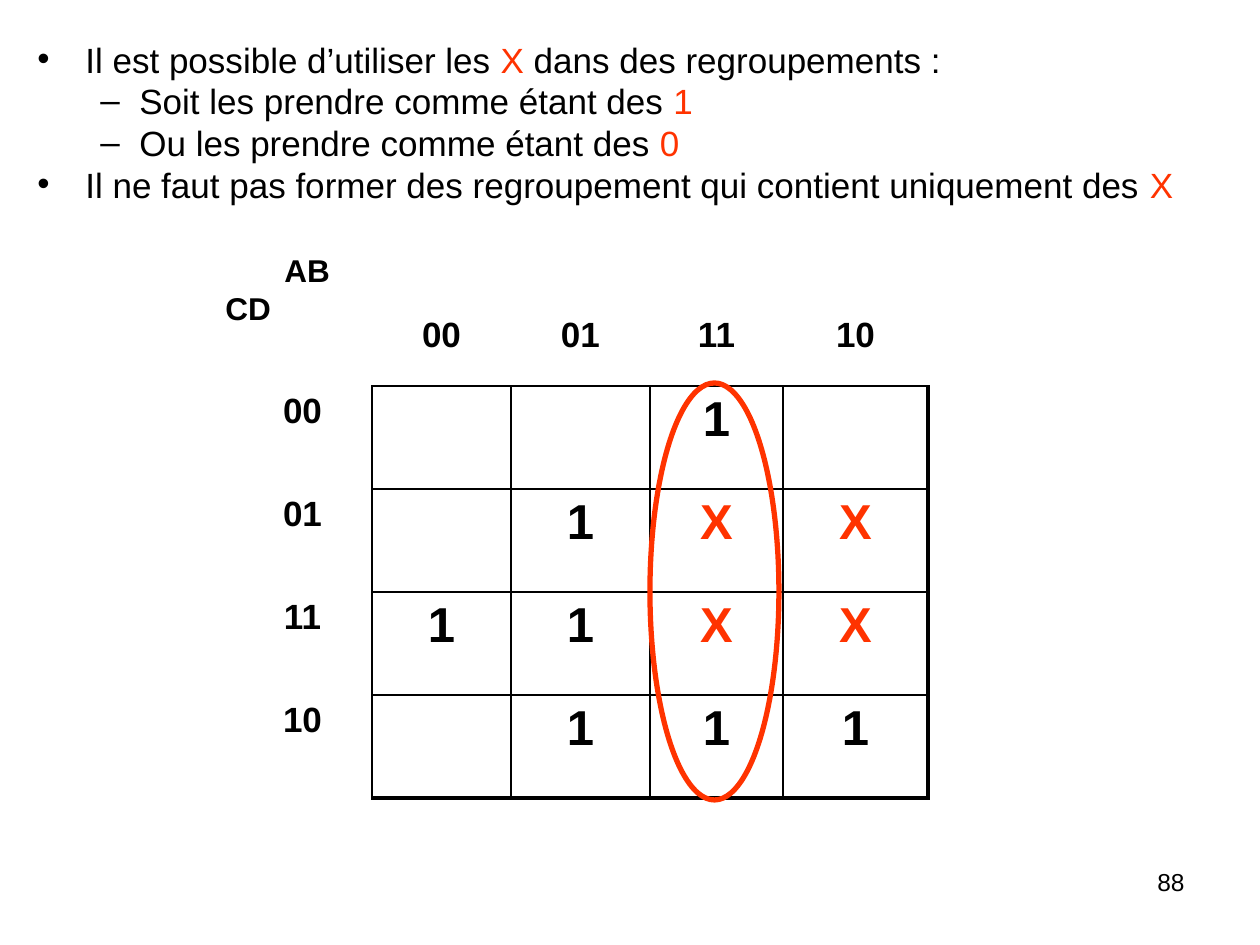
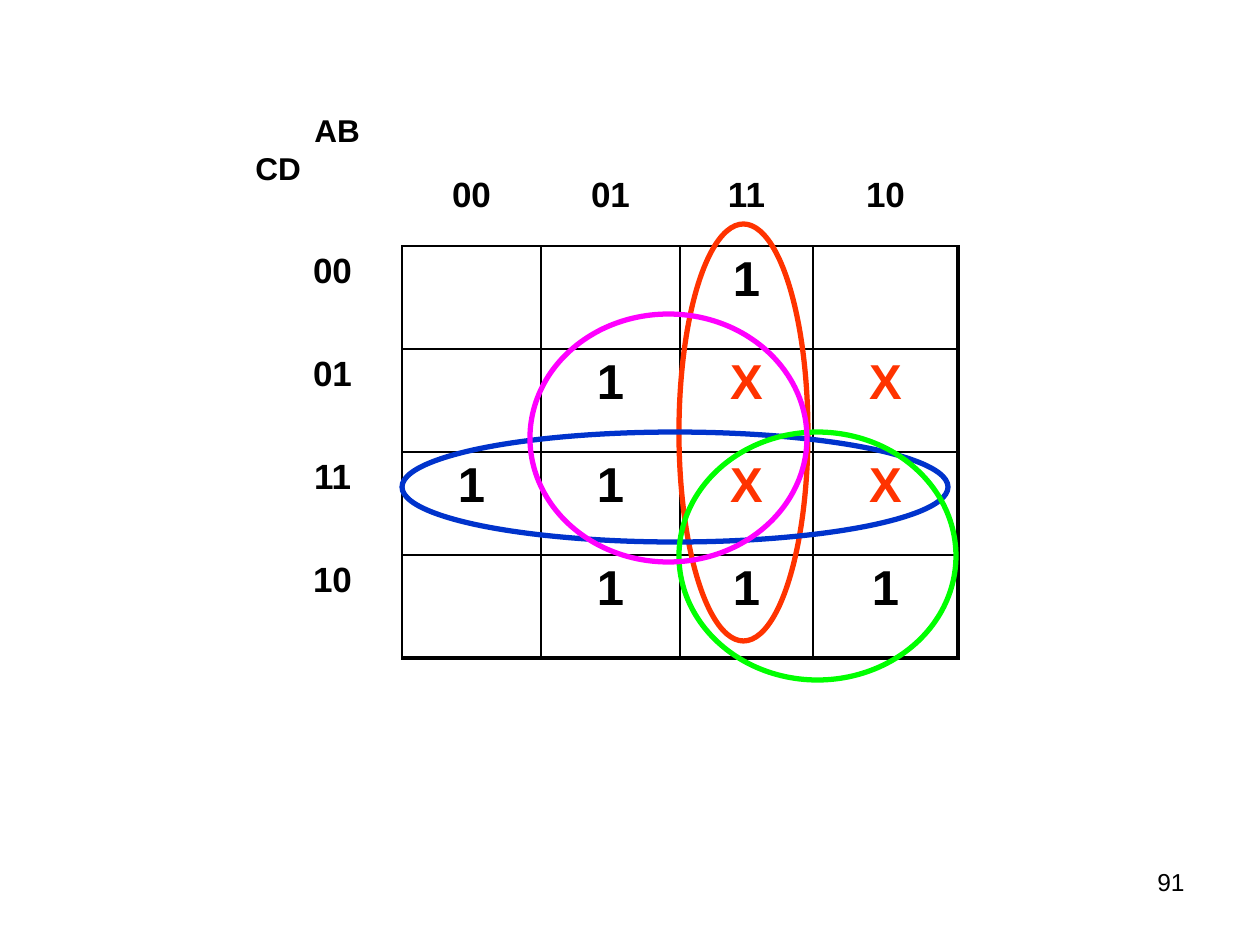
"""Build two Karnaugh map slides showing how don't-care X cells are grouped."""
from lxml.etree import SubElement as Sub
from pptx import Presentation
from pptx.dml.color import RGBColor as Rgb
from pptx.enum.shapes import MSO_SHAPE as Shape
from pptx.enum.text import PP_ALIGN as Align
from pptx.oxml.ns import qn
from pptx.util import Emu, Pt

INK = {"black": "000000", "red": "FF3300", "blue": "0033CC",
       "green": "00FF00", "pink": "FF00FF"}
FONT = "Arial"
PLAIN = "{2D5ABB26-0587-4C30-8999-92F81FD0307C}"

CODES = ["00", "01", "11", "10"]
CELLS = [["", "", "1", ""],
         ["", "1", "X", "X"],
         ["1", "1", "X", "X"],
         ["", "1", "1", "1"]]
COLS = [139, 139, 139, 133, 145]
ROWS = [121, 103, 103, 103, 103]
HEAD_PAD = 51
AXES = [("AB", 39, -20, 139), ("CD", -20, 18, 115)]

RULES = [
    (0, [("Il est possible d’utiliser les ", "black"), ("X", "red"),
         (" dans des regroupements :", "black")]),
    (1, [("Soit les prendre comme étant des ", "black"), ("1", "red")]),
    (1, [("Ou les prendre comme étant des ", "black"), ("0", "red")]),
    (0, [("Il ne faut pas former des regroupement qui contient "
          "uniquement des ", "black"), ("X", "red")]),
]
LEVELS = [("•", 48, 48), ("–", 102, 39)]

SLIDES = [
    {"page": "88", "rules": RULES, "map": (233, 265),
     "loops": [("red", 650, 383, 129, 417)]},
    {"page": "91", "rules": [], "map": (263, 125),
     "loops": [("red", 679, 224, 129, 417), ("blue", 402, 432, 546, 110),
               ("green", 679, 432, 277, 248), ("pink", 530, 314, 277, 248)]},
]


def px(num):
    return Emu(round(num * 914400 / 126))


def add_run(para, text, size, ink="black", bold=False):
    run = para.add_run()
    run.text = text
    font = run.font
    font.name, font.size, font.bold = FONT, Pt(size), bold
    font.color.rgb = Rgb.from_string(INK[ink])


def add_box(slide, *area):
    frame = slide.shapes.add_textbox(*map(px, area)).text_frame
    frame.word_wrap = True
    return frame


def add_rules(slide, rules):
    frame = add_box(slide, 25, 40, 1235, 213)
    for num, (level, runs) in enumerate(rules):
        para = frame.add_paragraph() if num else frame.paragraphs[0]
        mark, left, hang = LEVELS[level]
        prop = para._p.get_or_add_pPr()
        prop.set("marL", str(px(left)))
        prop.set("indent", str(-px(hang)))
        Sub(prop, qn("a:buFont"), typeface=FONT)
        Sub(prop, qn("a:buChar"), char=mark)
        para.level = level
        para.line_spacing = 0.8
        if num:
            para.space_before = Pt(4.6)
        for text, ink in runs:
            add_run(para, text, 20, ink)


def set_edges(cell, row, col):
    widths = {"L": 1 if row and col else 0,
              "R": (2.25 if col == len(CODES) else 1) if row else 0,
              "T": 1 if row and col else 0,
              "B": (2.25 if row == len(CODES) else 1) if col else 0}
    prop = cell._tc.get_or_add_tcPr()
    for side, width in widths.items():
        line = Sub(prop, qn(f"a:ln{side}"), w=str(Pt(width)))
        if width:
            fill = Sub(line, qn("a:solidFill"))
            Sub(fill, qn("a:srgbClr"), val=INK["black"])
        else:
            Sub(line, qn("a:noFill"))
    cell.fill.background()


def add_map(slide, left, top):
    grid = [[""] + CODES] + [[code] + line for code, line in zip(CODES, CELLS)]
    area = map(px, (left, top, sum(COLS), sum(ROWS)))
    table = slide.shapes.add_table(len(ROWS), len(COLS), *area).table
    table.first_row = table.horz_banding = False
    table._tbl.tblPr.find(qn("a:tableStyleId")).text = PLAIN
    for col, wide in zip(table.columns, COLS):
        col.width = px(wide)
    for row, high in zip(table.rows, ROWS):
        row.height = px(high)
    for row, line in enumerate(grid):
        for col, text in enumerate(line):
            cell = table.cell(row, col)
            set_edges(cell, row, col)
            if not row:
                cell.margin_top = px(HEAD_PAD)
            if text:
                para = cell.text_frame.paragraphs[0]
                para.alignment = Align.CENTER
                add_run(para, text, 28 if row and col else 20,
                        "red" if text == "X" else "black", True)
    for name, dx, dy, wide in AXES:
        frame = add_box(slide, left + dx, top + dy, wide, 50)
        add_run(frame.paragraphs[0], name, 18, bold=True)


def add_loop(slide, ink, *area):
    loop = slide.shapes.add_shape(Shape.OVAL, *map(px, area))
    loop.shadow.inherit = False
    loop.fill.background()
    loop.line.color.rgb = Rgb.from_string(INK[ink])
    loop.line.width = Pt(3)


def add_page(slide, page):
    para = add_box(slide, 903, 861, 294, 66).paragraphs[0]
    para.alignment = Align.RIGHT
    add_run(para, page, 14)


def main():
    deck = Presentation()
    deck.slide_width, deck.slide_height = px(1260), px(945)
    for part in SLIDES:
        slide = deck.slides.add_slide(deck.slide_layouts[6])
        add_page(slide, part["page"])
        if part["rules"]:
            add_rules(slide, part["rules"])
        add_map(slide, *part["map"])
        for loop in part["loops"]:
            add_loop(slide, *loop)
    deck.save("out.pptx")


if __name__ == "__main__":
    main()
